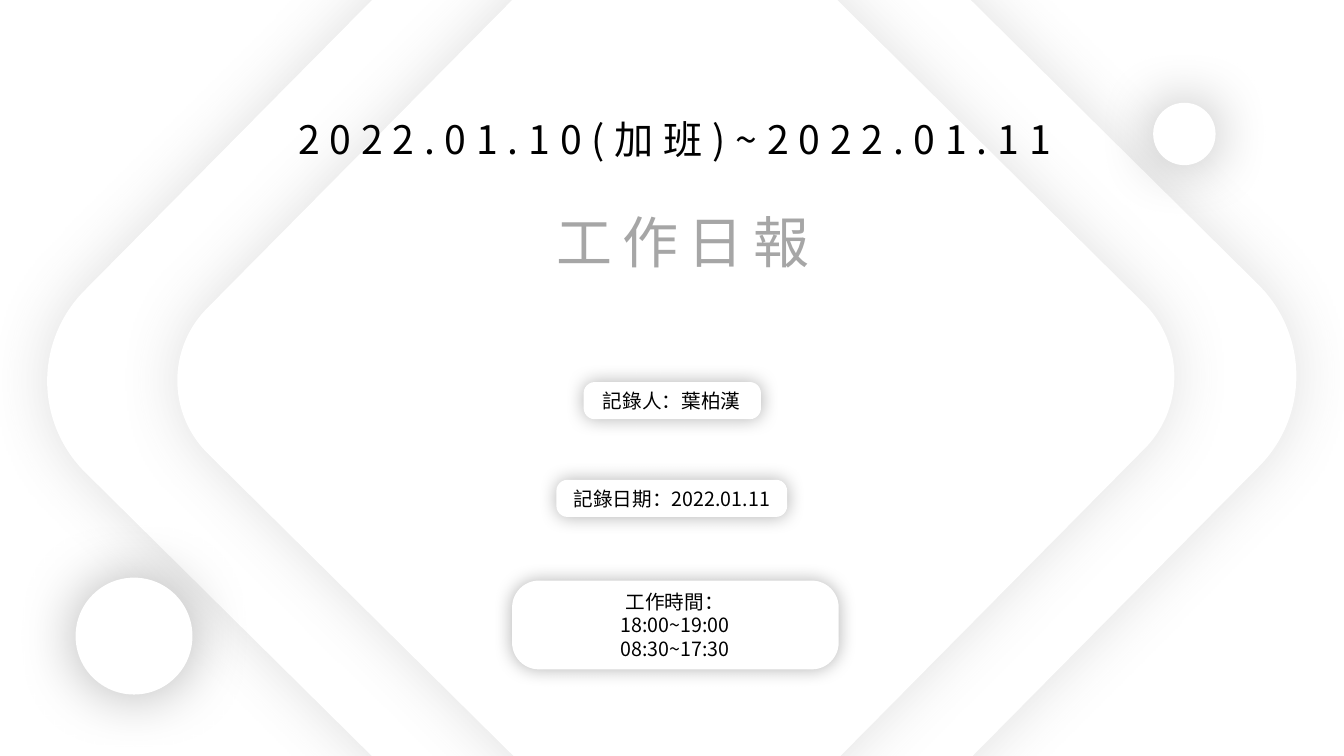
from lxml.etree import SubElement as Sub
from pptx import Presentation
from pptx.dml.color import RGBColor
from pptx.enum.shapes import MSO_SHAPE as Kind
from pptx.enum.text import MSO_AUTO_SIZE as Fit, PP_ALIGN as Align
from pptx.oxml.ns import qn
from pptx.util import Pt


def tint(code):
    return RGBColor.from_string(code)


class Deck:
    """Holds the style and the slide, and draws each kind of element."""

    font = "Noto Sans CJK SC"
    ink, fill, grey = "000000", "FFFFFF", "A6A6A6"

    def __init__(self):
        self.file = Presentation()
        self.file.slide_width, self.file.slide_height = Pt(960), Pt(540)
        self.slide = self.file.slides.add_slide(self.file.slide_layouts[6])
        back = self.slide.background.fill
        back.solid()
        back.fore_color.rgb = tint(self.fill)

    def glow(self, shape, color, alpha, blur):
        shape.shadow.inherit = False
        effects = shape._element.spPr.find(qn("a:effectLst"))
        outer = Sub(effects, qn("a:outerShdw"), blurRad=str(Pt(blur)), dist="0",
                    dir="0", algn="ctr", rotWithShape="0")
        shade = Sub(outer, qn("a:srgbClr"), val=color)
        Sub(shade, qn("a:alpha"), val=str(alpha * 1000))

    def shape(self, kind, box, color="000000", alpha=30, blur=43, round=None,
              turn=0, home=None):
        shape = (home or self.slide).shapes.add_shape(kind, *map(Pt, box))
        shape.fill.solid()
        shape.fill.fore_color.rgb = tint(self.fill)
        shape.line.fill.background()
        shape.rotation = turn
        if round is not None:
            shape.adjustments[0] = round
        self.glow(shape, color, alpha, blur)

    def diamond(self, left, top, side):
        self.shape(Kind.ROUNDED_RECTANGLE, (left, top, side, side),
                   "595959", 19, round=0.134, turn=44.7)

    def dot(self, left, top, size):
        self.shape(Kind.OVAL, (left, top, size, size))

    def text(self, words, box, size, color=ink, space=0, home=None):
        label = (home or self.slide).shapes.add_textbox(*map(Pt, box))
        frame = label.text_frame
        frame.word_wrap = True
        frame.auto_size = Fit.SHAPE_TO_FIT_TEXT
        frame.text = words
        for para in frame.paragraphs:
            para.alignment = Align.CENTER
            for run in para.runs:
                run.font.size = Pt(size)
                run.font.name = self.font
                run.font.color.rgb = tint(color)
                props = run.font._element
                Sub(props, qn("a:ea"), typeface=self.font)
                if space:
                    props.set("spc", str(space * 100))

    def badge(self, words, pill, box):
        group = self.slide.shapes.add_group_shape()
        self.shape(Kind.ROUNDED_RECTANGLE, pill, blur=13, round=0.302, home=group)
        self.text(words, box, 14, home=group)

    def save(self):
        self.file.save("out.pptx")


def main():
    deck = Deck()
    deck.diamond(137.5, -72, 684.7)
    deck.diamond(209.5, -2.9, 546.5)
    deck.text("2022.01.10(加班)~2022.01.11", (191.5, 78.5, 581, 41), 28, space=7)
    deck.text("工作日報", (316.8, 144.7, 342, 55.4), 40, deck.grey, 7)
    deck.dot(54, 412.6, 83.5)
    deck.dot(823.7, 73.4, 44.6)
    badges = [
        ("記錄人：葉柏漢",
         (416.9, 272.9, 126.7, 26.6), (404.6, 274.3, 150.5, 24.5)),
        ("記錄日期：2022.01.11",
         (397.4, 342.7, 164.9, 26.6), (393.1, 344.2, 173.5, 24.5)),
        ("工作時間：\n18:00~19:00\n08:30~17:30",
         (365.8, 414.7, 233.3, 63.4), (359.3, 417.6, 245.5, 58.3)),
    ]
    for badge in badges:
        deck.badge(*badge)
    deck.save()


if __name__ == "__main__":
    main()
